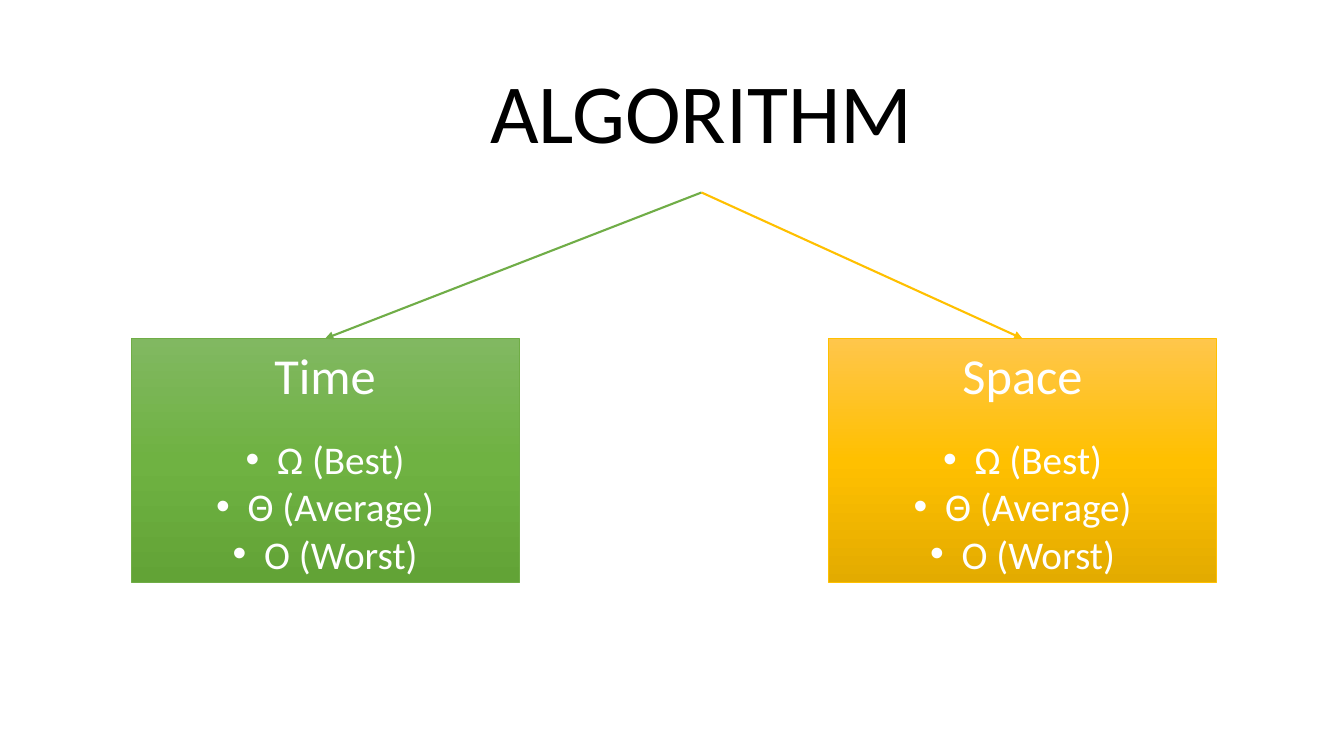
from copy import deepcopy
from dataclasses import dataclass

from lxml.etree import SubElement
from pptx import Presentation
from pptx.dml.color import RGBColor as RGB
from pptx.enum.shapes import MSO_CONNECTOR as CONNECTOR, MSO_SHAPE as SHAPE
from pptx.enum.text import MSO_ANCHOR as ANCHOR, MSO_AUTO_SIZE as AUTO_SIZE, PP_ALIGN as ALIGN
from pptx.oxml.ns import qn
from pptx.util import Pt


@dataclass(frozen=True)
class Theme:
    font: str = "Calibri"
    title_size: float = 60
    heading_size: float = 36
    item_size: float = 28
    title_color: str = "000000"
    panel_text: str = "FFFFFF"
    green: str = "70AD47"
    green_gradient: tuple = ("81B861", "6FB242", "62A336")
    amber: str = "FFC000"
    amber_gradient: tuple = ("FFC64B", "FFC000", "E3AB00")


THEME = Theme()
PANEL_TOP, PANEL_WIDTH, PANEL_HEIGHT = 241.9, 277.2, 174.2
CASES = ("Ω (Best)", "Θ (Average)", "O (Worst)")
MEASURES = (
    ("Time", 93.6, THEME.green, THEME.green_gradient),
    ("Space", 591.8, THEME.amber, THEME.amber_gradient),
)


def add_text(paragraph, text, size, color):
    paragraph.alignment = ALIGN.CENTER
    run = paragraph.add_run()
    run.text = text
    run.font.name = THEME.font
    run.font.size = Pt(size)
    run.font.color.rgb = RGB.from_string(color)


def add_bullet(paragraph):
    properties = paragraph._p.get_or_add_pPr()
    properties.set("marL", str(Pt(22.5)))
    properties.set("indent", str(-Pt(22.5)))
    SubElement(properties, qn("a:buFont"), typeface="Arial")
    SubElement(properties, qn("a:buChar"), char="•")


def fill_gradient(panel, colors):
    """Spread the colors evenly from top to bottom."""
    panel.fill.gradient()
    panel.fill.gradient_angle = 270
    stop_list = panel._element.spPr.find(qn("a:gradFill")).find(qn("a:gsLst"))
    for _ in colors[2:]:
        stop_list.append(deepcopy(stop_list[0]))
    for index, (stop, color) in enumerate(zip(panel.fill.gradient_stops, colors)):
        stop.color.rgb = RGB.from_string(color)
        stop.position = index / (len(colors) - 1)


def set_title(slide, text):
    title = slide.shapes.title
    title.left, title.top, title.width, title.height = Pt(66.2), Pt(28.8), Pt(869.8), Pt(108.7)
    frame = title.text_frame
    frame.auto_size = AUTO_SIZE.NONE
    frame.vertical_anchor = ANCHOR.MIDDLE
    frame.paragraphs[0].line_spacing = 0.9
    add_text(frame.paragraphs[0], text, THEME.title_size, THEME.title_color)
    return title


def add_panel(slide, heading, left, color, gradient):
    panel = slide.shapes.add_shape(
        SHAPE.RECTANGLE, Pt(left), Pt(PANEL_TOP), Pt(PANEL_WIDTH), Pt(PANEL_HEIGHT))
    panel.shadow.inherit = False
    fill_gradient(panel, gradient)
    panel.line.color.rgb = RGB.from_string(color)
    panel.line.width = Pt(0.5)
    frame = panel.text_frame
    frame.word_wrap = True
    frame.vertical_anchor = ANCHOR.MIDDLE
    frame.paragraphs[0].space_after = Pt(22)
    add_text(frame.paragraphs[0], heading, THEME.heading_size, THEME.panel_text)
    for case in CASES:
        item = frame.add_paragraph()
        add_bullet(item)
        add_text(item, case, THEME.item_size, THEME.panel_text)
    return panel


def add_arrow(slide, title, panel, color):
    """Join the bottom of the title to the top of the panel."""
    arrow = slide.shapes.add_connector(
        CONNECTOR.STRAIGHT,
        title.left + title.width // 2, title.top + title.height,
        panel.left + panel.width // 2, panel.top)
    arrow.begin_connect(title, 2)
    arrow.end_connect(panel, 0)
    arrow.line.color.rgb = RGB.from_string(color)
    arrow.line.width = Pt(1.5)
    SubElement(arrow.line._get_or_add_ln(), qn("a:tailEnd"), type="triangle")
    SubElement(arrow._element.spPr, qn("a:effectLst"))


def main():
    deck = Presentation()
    deck.slide_width, deck.slide_height = Pt(960), Pt(540)
    slide = deck.slides.add_slide(deck.slide_layouts.get_by_name("Title Only"))
    title = set_title(slide, "ALGORITHM")
    for heading, left, color, gradient in MEASURES:
        panel = add_panel(slide, heading, left, color, gradient)
        add_arrow(slide, title, panel, color)
    deck.save("out.pptx")


if __name__ == "__main__":
    main()
